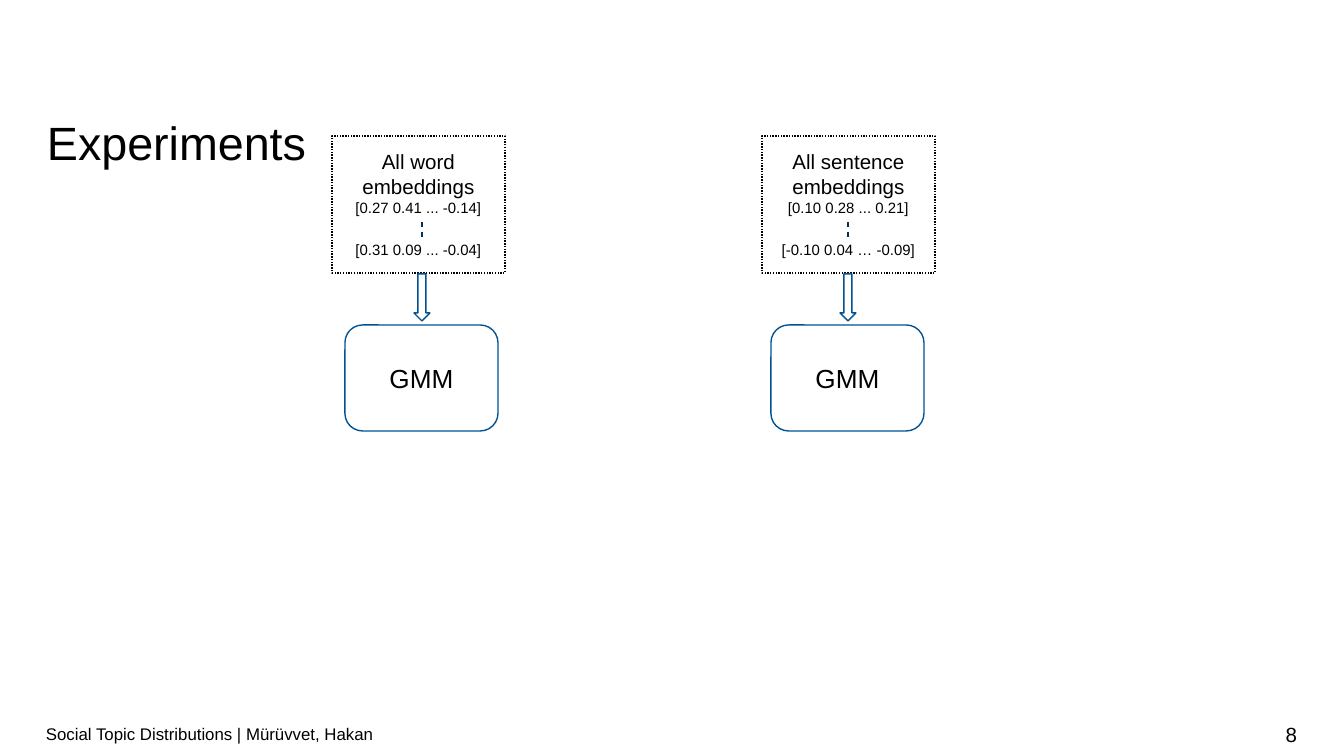
from pptx import Presentation
from pptx.dml.color import RGBColor
from pptx.enum.dml import MSO_LINE as Dash
from pptx.enum.shapes import MSO_CONNECTOR as Link, MSO_SHAPE as Kind
from pptx.enum.text import MSO_ANCHOR as Anchor, MSO_AUTO_SIZE as Fit, PP_ALIGN as Align
from pptx.util import Emu, Pt
from lxml.etree import SubElement

SCALE = 914400 / 134.4
FONT = "Arial"
HUES = {"text": "000000", "blue": "005293", "navy": "003359", "page": "FFFFFF"}
NS = "{http://schemas.openxmlformats.org/drawingml/2006/main}"
FLOWS = [
    (422, 332, "All word embeddings", "[0.27 0.41 ... -0.14]", "[0.31 0.09 ... -0.04]"),
    (848, 762, "All sentence embeddings", "[0.10 0.28 ... 0.21]", "[-0.10 0.04 … -0.09]"),
]


def px(*nums):
    """Turn pixel lengths into EMU."""
    return [Emu(round(num * SCALE)) for num in nums]


def hue(name):
    """Return a named colour."""
    return RGBColor.from_string(HUES[name])


def setup(frame, side, edge, anchor):
    """Set the wrap, insets and anchor of a text frame."""
    frame.word_wrap = True
    frame.auto_size = Fit.NONE
    frame.vertical_anchor = anchor
    frame.margin_left, frame.margin_right = px(side, side)
    frame.margin_top, frame.margin_bottom = px(edge, edge)


def write(para, text, size, align=Align.LEFT):
    """Add one run to a paragraph."""
    para.alignment = align
    run = para.add_run()
    run.text = text
    run.font.size = Pt(size)
    run.font.name = FONT
    run.font.color.rgb = hue("text")


def title(slide, text):
    """Place and fill the title placeholder."""
    head = slide.shapes.title
    head.left, head.top, head.width, head.height = px(47, 98, 1251, 60)
    setup(head.text_frame, 0, 0, Anchor.TOP)
    para = head.text_frame.paragraphs[0]
    para.line_spacing = 1.28
    write(para, text, 25)


def label(slide, left, width, text, size, align):
    """Add a text to the footer row."""
    box = slide.shapes.add_textbox(*px(left, 714, width, 40))
    setup(box.text_frame, 0, 7, Anchor.MIDDLE)
    write(box.text_frame.paragraphs[0], text, size, align)


def shape(slide, kind, area, tint):
    """Add an unfilled outlined shape."""
    item = slide.shapes.add_shape(kind, *px(*area))
    item.shadow.inherit = False
    item.fill.background()
    item.line.color.rgb = hue(tint)
    item.line.width = Pt(0.75)
    return item


def vectors(slide, left, name, first, last):
    """Add a dotted box with a heading and two vectors."""
    box = shape(slide, Kind.RECTANGLE, (left, 136, 173, 137), "text")
    box.line.dash_style = Dash.ROUND_DOT
    frame = box.text_frame
    setup(frame, 13, 13, Anchor.TOP)
    write(frame.paragraphs[0], name, 11, Align.CENTER)
    write(frame.add_paragraph(), first, 8, Align.CENTER)
    para = frame.add_paragraph()
    para.space_before = Pt(13)
    write(para, last, 8, Align.CENTER)


def dashes(slide, mid):
    """Add the dashed line between two vectors."""
    line = slide.shapes.add_connector(Link.STRAIGHT, *px(mid, 222, mid, 238))
    line.line.color.rgb = hue("navy")
    line.line.width = Pt(0.75)
    line.line.dash_style = Dash.DASH
    SubElement(line._element.spPr, NS + "effectLst")


def model(slide, mid, text):
    """Add a rounded model box."""
    box = shape(slide, Kind.ROUNDED_RECTANGLE, (mid - 77, 325, 153, 106), "blue")
    setup(box.text_frame, 13, 13, Anchor.MIDDLE)
    write(box.text_frame.paragraphs[0], text, 14, Align.CENTER)


def main():
    """Build and save the slide."""
    deck = Presentation()
    deck.slide_width, deck.slide_height = px(1344, 756)
    slide = deck.slides.add_slide(deck.slide_layouts[5])
    slide.background.fill.solid()
    slide.background.fill.fore_color.rgb = hue("page")
    title(slide, "Experiments")
    label(slide, 996, 301, "8", 11, Align.RIGHT)
    label(slide, 46, 950, "Social Topic Distributions | Mürüvvet, Hakan", 9, Align.LEFT)
    for mid, left, name, first, last in FLOWS:
        vectors(slide, left, name, first, last)
        dashes(slide, mid)
        shape(slide, Kind.DOWN_ARROW, (mid - 8, 274, 16, 47), "blue")
        model(slide, mid, "GMM")
    deck.save("out.pptx")


if __name__ == "__main__":
    main()
